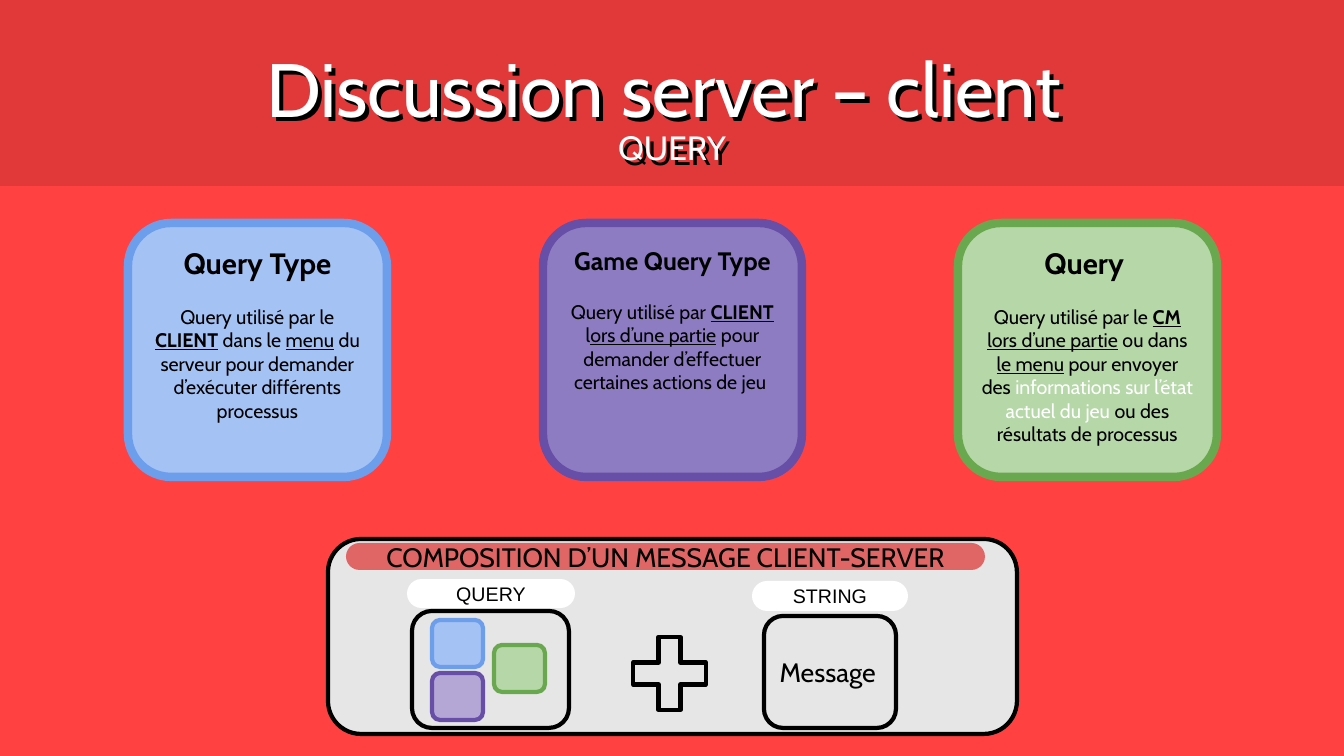
from lxml import etree
from pptx import Presentation
from pptx.dml.color import RGBColor
from pptx.enum.shapes import MSO_SHAPE
from pptx.enum.text import MSO_ANCHOR, PP_ALIGN
from pptx.oxml.ns import qn
from pptx.util import Emu, Pt

RECT, ROUND, PLUS = MSO_SHAPE.RECTANGLE, MSO_SHAPE.ROUNDED_RECTANGLE, MSO_SHAPE.CROSS
LEFT, CENTER = PP_ALIGN.LEFT, PP_ALIGN.CENTER
TOP, MIDDLE = MSO_ANCHOR.TOP, MSO_ANCHOR.MIDDLE

COLORS = {
    "background": "FF4241", "band": "E13839", "white": "FFFFFF", "black": "000000",
    "blue": "A4C2F4", "blue_line": "6D9EEB",
    "purple": "8E7CC3", "purple_line": "674EA7", "lilac": "B4A7D6",
    "green": "B6D7A8", "green_line": "6AA84F",
    "panel": "E7E6E6", "heading": "E06666",
}

# Content: runs are (text, style), where b = bold, u = underlined, w = white
TITLE = "Discussion server – client "
SUBTITLE = "QUERY"
CARDS = [
    ("Query Type", 21, "blue", "blue_line", [
        ("Query utilisé par le ", ""), ("CLIENT", "bu"), (" dans le ", ""), ("menu", "u"),
        (" du serveur pour demander d’exécuter différents processus", "")]),
    ("Game Query Type", 18, "purple", "purple_line", [
        ("Query utilisé par ", ""), ("CLIENT", "bu"), (" l", ""), ("ors d’une partie", "u"),
        (" pour demander d’effectuer certaines actions de jeu ", "")]),
    ("Query ", 21, "green", "green_line", [
        ("Query utilisé par le ", ""), ("CM", "bu"), (" ", ""), ("lors d’une partie", "u"),
        (" ou dans ", ""), ("le menu", "u"), (" pour envoyer des ", ""),
        ("informations sur l’état actuel du jeu", "w"),
        (" ou des résultats de processus", "")]),
]
PANEL_HEADING = "COMPOSITION D’UN MESSAGE CLIENT-SERVER"
TILES = [(432, 620, "blue", "blue_line"), (432, 673, "lilac", "purple_line"),
         (494, 645, "green", "green_line")]
LABELS = [("QUERY", (407, 579, 168, 29)), ("STRING", (752, 581, 156, 30))]

# Layout in px
PX = 914400 / 100.8
W, H = 1344, 756
INSET = 10
CARD_X, CARD_Y, CARD_W, CARD_H, CARD_STEP = 128, 223, 259, 254, 415
TILE_W, TILE_H = 51, 47


def px(n):
    return Emu(round(n * PX))


def rgb(name):
    return RGBColor.from_string(COLORS[name])


prs = Presentation()
prs.slide_width, prs.slide_height = px(W), px(H)
s = prs.slides.add_slide(prs.slide_layouts[6])
s.background.fill.solid()
s.background.fill.fore_color.rgb = rgb("background")


def add_shape(kind, box, fill, line=None, width=3, adj=None):
    sp = s.shapes.add_shape(kind, *map(px, box))
    sp.shadow.inherit = False
    sp.fill.solid()
    sp.fill.fore_color.rgb = rgb(fill)
    if line:
        sp.line.color.rgb = rgb(line)
        sp.line.width = Pt(width)
    else:
        sp.line.fill.background()
    if adj is not None:
        sp.adjustments[0] = adj
    return sp


def add_text(sp, runs, size, font="Cabin", color="black", bold=False, align=CENTER,
             anchor=MIDDLE, spacing=None, before=0, new=False):
    """Write one paragraph, in the first place or after the others."""
    tf = sp.text_frame
    tf.word_wrap = True
    tf.vertical_anchor = anchor
    tf.margin_left = tf.margin_right = tf.margin_top = tf.margin_bottom = px(INSET)
    p = tf.add_paragraph() if new else tf.paragraphs[0]
    p.alignment = align
    if spacing:
        p.line_spacing = spacing
    if before:
        p.space_before = Pt(before)
    for text, style in [(runs, "")] if isinstance(runs, str) else runs:
        r = p.add_run()
        r.text = text
        r.font.name = font
        r.font.size = Pt(size)
        r.font.bold = bold or "b" in style
        r.font.underline = "u" in style
        r.font.color.rgb = rgb("white" if "w" in style else color)


def add_shadow(sp):
    effects = etree.SubElement(sp._element.spPr, qn("a:effectLst"))
    shadow = etree.SubElement(effects, qn("a:outerShdw"), dist="57150", dir="3000000",
                              algn="bl", rotWithShape="0")
    etree.SubElement(shadow, qn("a:srgbClr"), val=COLORS["black"])


# Header band with shadowed headings
add_shape(RECT, (0, 0, W, 186), "band")
for text, size, top, height, spacing in [(TITLE, 54, 18, 149, 1.15),
                                         (SUBTITLE, 24, 117, 61, None)]:
    sp = s.shapes.add_textbox(*map(px, (240, top, 864, height)))
    add_text(sp, text, size, color="white", anchor=TOP, spacing=spacing)
    add_shadow(sp)

# Three query cards
for i, (name, size, fill, line, body) in enumerate(CARDS):
    box = (CARD_X + i * CARD_STEP, CARD_Y, CARD_W, CARD_H)
    sp = add_shape(ROUND, box, fill, line, 6, 0.17)
    add_text(sp, name, size, bold=True, anchor=TOP)
    add_text(sp, body, 14, anchor=TOP, before=17, new=True)

# Message panel
add_shape(ROUND, (328, 539, 689, 195), "panel", "black", adj=0.17)
sp = add_shape(ROUND, (346, 543, 639, 27), "heading", adj=0.5)
add_text(sp, PANEL_HEADING, 19)
add_shape(PLUS, (633, 637, 73, 73), "panel", "black", adj=0.35)

# Query box with its tiles, and message box
add_shape(ROUND, (412, 611, 157, 117), "panel", "black", adj=0.17)
for x, y, fill, line in TILES:
    add_shape(ROUND, (x, y, TILE_W, TILE_H), fill, line, adj=0.17)
sp = add_shape(ROUND, (764, 616, 132, 112), "panel", "black", adj=0.17)
add_text(sp, "Message", 19, align=LEFT)

# Labels above the boxes
for text, box in LABELS:
    add_text(add_shape(ROUND, box, "white", adj=0.5), text, 14, font="Arial")

prs.save("out.pptx")
